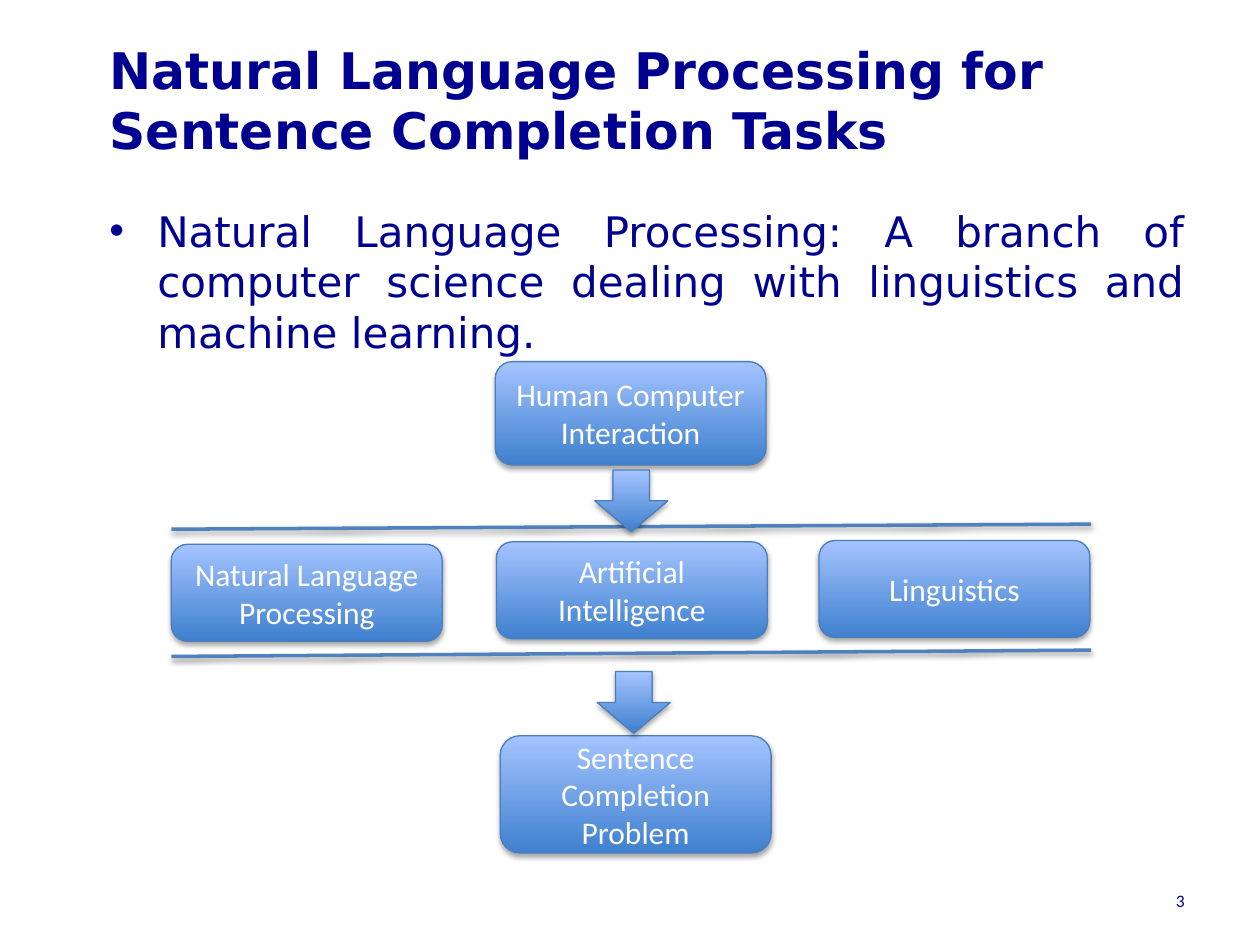
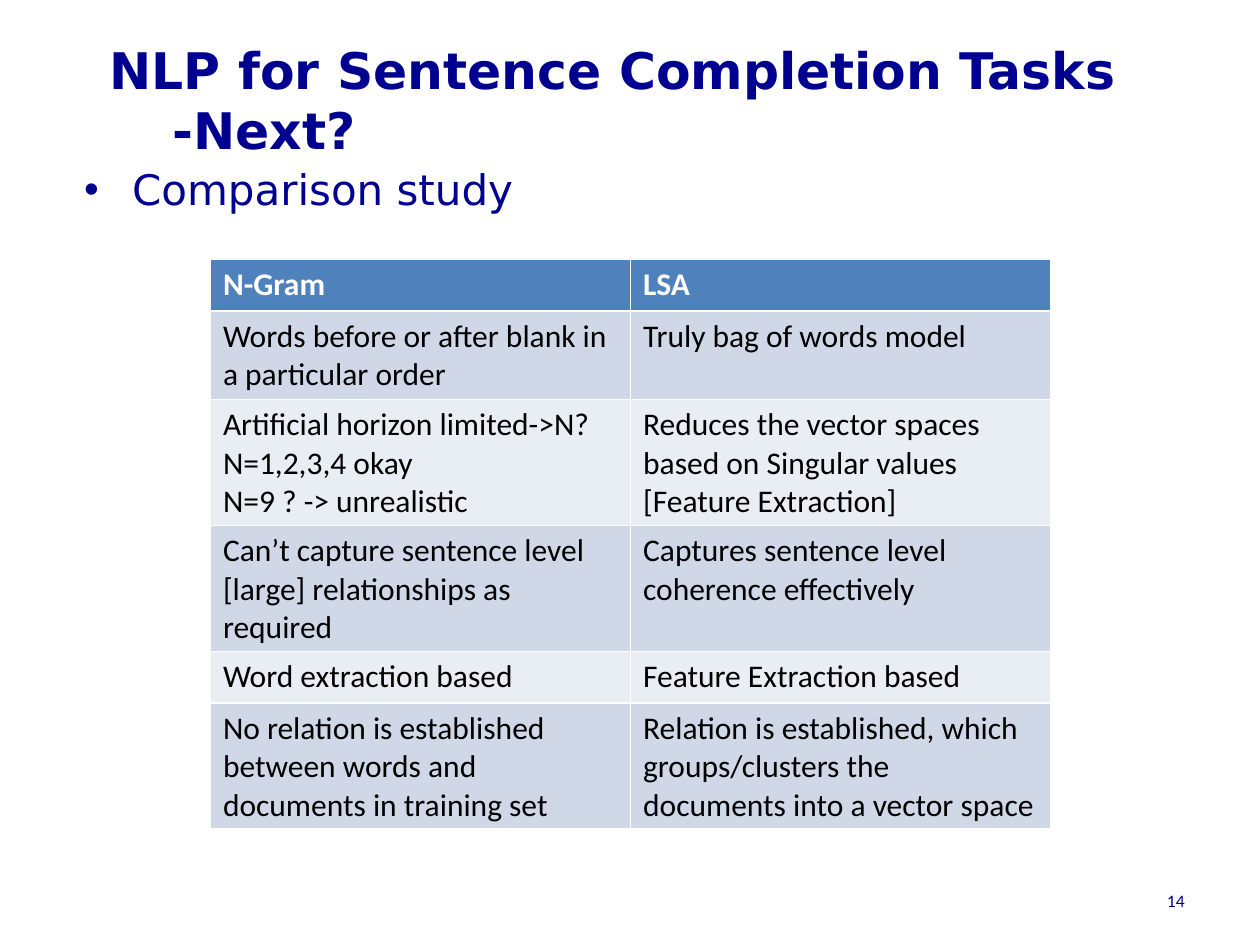
from lxml import etree
from pptx import Presentation
from pptx.dml.color import RGBColor
from pptx.enum.shapes import MSO_CONNECTOR, MSO_SHAPE
from pptx.enum.text import MSO_ANCHOR, MSO_AUTO_SIZE, PP_ALIGN
from pptx.oxml import parse_xml
from pptx.oxml.ns import nsdecls, qn
from pptx.util import Inches, Pt

NAVY = RGBColor(0x00, 0x00, 0x90)
WHITE = RGBColor(0xFF, 0xFF, 0xFF)
BLACK = RGBColor(0x00, 0x00, 0x00)
BLUE = RGBColor(0x4F, 0x81, 0xBD)
OUTLINE = RGBColor(0x4B, 0x7E, 0xBC)
GRADIENT = (RGBColor(0x3F, 0x80, 0xCE), RGBColor(0xA4, 0xC4, 0xFF))
BANDS = (RGBColor(0xE9, 0xED, 0xF4), RGBColor(0xD0, 0xD8, 0xE8))

HEADING_FONT = "DejaVu Sans"
BODY_FONT = "Calibri"
TITLE_ONLY = 5
BOX_WIDTH = 2.15

# Each box: text, left, top, height
BOXES = [
    ("Human Computer Interaction", 3.93, 2.87, 0.82),
    ("Natural Language Processing", 1.36, 4.32, 0.77),
    ("Artificial Intelligence", 3.94, 4.3, 0.77),
    ("Linguistics", 6.5, 4.29, 0.77),
    ("Sentence Completion Problem", 3.97, 5.84, 0.93),
]
RULES = [(4.2, 4.16), (5.21, 5.16)]
ARROWS = [(4.72, 3.73), (4.74, 5.33)]

COMPARISON = [
    ("N-Gram", "LSA"),
    ("Words before or after blank in a particular order",
     "Truly bag of words model"),
    ("Artificial horizon limited->N?\nN=1,2,3,4 okay\nN=9 ? -> unrealistic",
     "Reduces the vector spaces based on Singular values [Feature Extraction]"),
    ("Can’t capture sentence level [large] relationships as required",
     "Captures sentence level coherence effectively"),
    ("Word extraction based", "Feature Extraction based"),
    ("No relation is established between words and documents in training set",
     "Relation is established, which groups/clusters the documents into a vector space"),
]


def write(frame, text, size, font, color, bold=False, align=PP_ALIGN.LEFT):
    frame.text = text
    frame.word_wrap = True
    for para in frame.paragraphs:
        para.alignment = align
        for run in para.runs:
            run.font.size = Pt(size)
            run.font.name = font
            run.font.bold = bold
            run.font.color.rgb = color


def place(shape, left, top, width, height):
    shape.left, shape.top = Inches(left), Inches(top)
    shape.width, shape.height = Inches(width), Inches(height)


def add_page(deck, title, number):
    """Add a slide with its title and page number."""
    page = deck.slides.add_slide(deck.slide_layouts[TITLE_ONLY])
    heading = page.shapes.title
    place(heading, 0.77, 0.33, 9.23, 0.92)
    frame = heading.text_frame
    write(frame, title, 28.8, HEADING_FONT, NAVY, bold=True)
    frame.auto_size = MSO_AUTO_SIZE.NONE
    frame.vertical_anchor = MSO_ANCHOR.MIDDLE
    frame.paragraphs[0]._p.get_or_add_pPr().set("defTabSz", str(Inches(0.5)))

    box = page.shapes.add_textbox(Inches(7.17), Inches(6.95), Inches(2.33), Inches(0.4))
    write(box.text_frame, str(number), 10, BODY_FONT, NAVY, align=PP_ALIGN.RIGHT)
    box.text_frame.vertical_anchor = MSO_ANCHOR.MIDDLE
    return page


def add_bullet(page, text, left, top, width, height):
    box = page.shapes.add_textbox(Inches(left), Inches(top), Inches(width), Inches(height))
    write(box.text_frame, text, 24, HEADING_FONT, NAVY, align=PP_ALIGN.JUSTIFY)
    para = box.text_frame.paragraphs[0]
    para.space_before = Pt(4.8)
    properties = para._p.get_or_add_pPr()
    properties.set("marL", str(Inches(0.38)))
    properties.set("indent", str(Inches(-0.38)))
    etree.SubElement(properties, qn("a:buFont")).set("typeface", "Arial")
    etree.SubElement(properties, qn("a:buChar")).set("char", "•")


def add_shadow(shape, opacity, distance):
    shape._element.spPr.append(parse_xml(
        f'<a:effectLst {nsdecls("a")}>'
        f'<a:outerShdw blurRad="{Pt(3.1)}" dist="{Pt(distance)}" dir="5400000" rotWithShape="0">'
        f'<a:srgbClr val="000000"><a:alpha val="{opacity * 1000}"/></a:srgbClr>'
        '</a:outerShdw></a:effectLst>'))


def add_glossy_shape(page, kind, left, top, width, height):
    shape = page.shapes.add_shape(
        kind, Inches(left), Inches(top), Inches(width), Inches(height))
    shape.fill.gradient()
    shape.fill.gradient_angle = 90
    for stop, color in zip(shape.fill.gradient_stops, GRADIENT):
        stop.color.rgb = color
    shape.line.color.rgb = OUTLINE
    shape.line.width = Pt(0.75)
    add_shadow(shape, 35, 1.8)
    return shape


def add_box(page, text, left, top, height):
    box = add_glossy_shape(page, MSO_SHAPE.ROUNDED_RECTANGLE, left, top, BOX_WIDTH, height)
    write(box.text_frame, text, 18, BODY_FONT, WHITE, align=PP_ALIGN.CENTER)
    box.text_frame.vertical_anchor = MSO_ANCHOR.MIDDLE


def add_rule(page, start, end):
    """Draw a line across the middle row, from height start to height end."""
    rule = page.shapes.add_connector(
        MSO_CONNECTOR.STRAIGHT, Inches(1.36), Inches(start), Inches(8.66), Inches(end))
    rule.line.color.rgb = BLUE
    rule.line.width = Pt(2)
    add_shadow(rule, 38, 1.6)


def add_comparison(page, rows):
    """Add the table; its default style supplies the white cell borders."""
    table = page.shapes.add_table(
        len(rows), len(rows[0]), Inches(1.67), Inches(2.06),
        Inches(6.67), Inches(0.41 * len(rows))).table
    for index, row in enumerate(rows):
        header = index == 0
        for column, text in enumerate(row):
            cell = table.cell(index, column)
            cell.fill.solid()
            cell.fill.fore_color.rgb = BLUE if header else BANDS[index % 2]
            write(cell.text_frame, text, 18, BODY_FONT,
                  WHITE if header else BLACK, bold=header)


def main():
    deck = Presentation()
    deck.slide_width, deck.slide_height = Inches(10), Inches(7.5)

    page = add_page(deck, "Natural Language Processing for Sentence Completion Tasks", 3)
    add_bullet(page, "Natural Language Processing: A branch of computer science dealing "
               "with linguistics and machine learning.", 0.77, 1.58, 8.73, 5.12)
    for box in BOXES:
        add_box(page, *box)
    for rule in RULES:
        add_rule(page, *rule)
    for left, top in ARROWS:
        add_glossy_shape(page, MSO_SHAPE.DOWN_ARROW, left, top, 0.58, 0.49)

    page = add_page(deck, "NLP for Sentence Completion Tasks\v\t-Next?", 14)
    add_bullet(page, "Comparison study", 0.57, 1.25, 8.93, 5.7)
    add_comparison(page, COMPARISON)

    deck.save("out.pptx")


if __name__ == "__main__":
    main()
